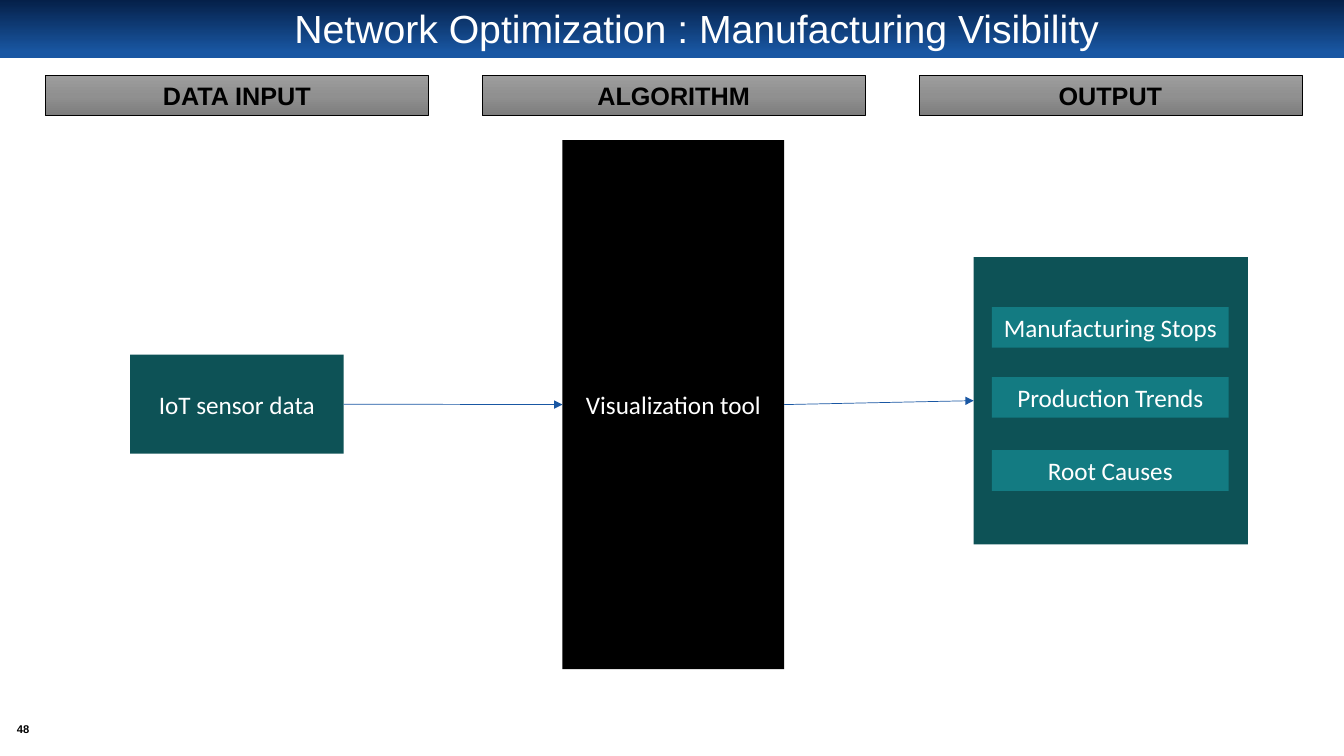
from copy import deepcopy
from dataclasses import dataclass

from lxml import etree
from pptx import Presentation
from pptx.dml.color import RGBColor
from pptx.enum.shapes import MSO_CONNECTOR, MSO_SHAPE
from pptx.enum.text import MSO_ANCHOR, PP_ALIGN
from pptx.oxml.ns import qn
from pptx.util import Pt

RECTANGLE = MSO_SHAPE.RECTANGLE
STRAIGHT = MSO_CONNECTOR.STRAIGHT
MIDDLE = MSO_ANCHOR.MIDDLE
CENTER = PP_ALIGN.CENTER
TITLE_ONLY = 5
LEFT_SITE, RIGHT_SITE = 1, 3


@dataclass(frozen=True)
class Theme:
    band: tuple = ((0, "052049"), (0.9, "1957A3"))
    heading: tuple = ((0, "9D9D9D"), (0.5, "909090"), (1, "7C7C7C"))
    black: str = "000000"
    white: str = "FFFFFF"
    panel: str = "0D5256"
    item: str = "137B82"
    arrow: str = "1957A3"
    heading_font: str = "Arial"
    body_font: str = "Calibri"
    title_size: int = 28
    body_size: int = 18
    number_size: int = 8
    line_width: float = 0.5


THEME = Theme()


def write(shape, text, *, font=THEME.body_font, size=THEME.body_size,
          color=THEME.white, bold=False, spacing=None):
    frame = shape.text_frame
    frame.word_wrap = True
    frame.vertical_anchor = MIDDLE
    paragraph = frame.paragraphs[0]
    paragraph.alignment = CENTER
    paragraph.line_spacing = spacing
    run = paragraph.add_run()
    run.text = text
    run.font.name = font
    run.font.size = Pt(size)
    run.font.bold = bold
    run.font.color.rgb = RGBColor.from_string(color)


def fill_gradient(shape, stops):
    fill = shape.fill
    fill.gradient()
    fill.gradient_angle = 270
    stop_list = shape.element.spPr.find(f".//{qn('a:gsLst')}")
    for _ in stops[2:]:
        stop_list.append(deepcopy(stop_list[0]))
    for stop, (position, color) in zip(fill.gradient_stops, stops):
        stop.position = position
        stop.color.rgb = RGBColor.from_string(color)


def add_box(slide, bounds, fill, outline=None):
    box = slide.shapes.add_shape(RECTANGLE, *map(Pt, bounds))
    box.shadow.inherit = False
    if isinstance(fill, str):
        box.fill.solid()
        box.fill.fore_color.rgb = RGBColor.from_string(fill)
    else:
        fill_gradient(box, fill)
    if outline:
        box.line.color.rgb = RGBColor.from_string(outline)
        box.line.width = Pt(THEME.line_width)
    else:
        box.line.fill.background()
    return box


def add_arrow(slide, source, target):
    arrow = slide.shapes.add_connector(STRAIGHT, 0, 0, 0, 0)
    arrow.begin_connect(source, RIGHT_SITE)
    arrow.end_connect(target, LEFT_SITE)
    arrow.line.color.rgb = RGBColor.from_string(THEME.arrow)
    arrow.line.width = Pt(THEME.line_width)
    etree.SubElement(arrow.line._get_or_add_ln(), qn("a:tailEnd"), type="triangle")
    etree.SubElement(arrow.element.spPr, qn("a:effectLst"))


def add_title(slide, text):
    add_box(slide, (0, 0, 960, 41.76), THEME.band)
    title = slide.shapes.title
    title.left, title.top, title.width, title.height = map(Pt, (80.6, 6.5, 833.8, 31))
    slide.shapes._spTree.append(title.element)
    write(title, text, font=THEME.heading_font, size=THEME.title_size, spacing=0.9)


def add_headings(slide, labels):
    for column, label in enumerate(labels):
        heading = add_box(slide, (32.4 + column * 312, 54, 273.6, 28.8),
                          THEME.heading, THEME.black)
        write(heading, label, font=THEME.heading_font, color=THEME.black, bold=True)


def add_slide_number(slide, number):
    page = slide.shapes.add_textbox(*map(Pt, (5.8, 514, 21.6, 13.7)))
    frame = page.text_frame
    frame.margin_left = frame.margin_right = frame.margin_top = frame.margin_bottom = 0
    write(page, number, font=THEME.heading_font, size=THEME.number_size,
          color=THEME.black, bold=True)


def add_flow(slide):
    tool = add_box(slide, (401.8, 100, 158.4, 378), THEME.black)
    write(tool, "Visualization tool")
    sensor = add_box(slide, (92.9, 253.4, 152.6, 70.6), THEME.panel)
    write(sensor, "IoT sensor data")
    results = add_box(slide, (695.5, 183.6, 195.8, 205.2), THEME.panel)
    add_arrow(slide, sensor, tool)
    add_arrow(slide, tool, results)
    for top, label in ((219.4, "Manufacturing Stops"),
                       (269.3, "Production Trends"),
                       (321.6, "Root Causes")):
        write(add_box(slide, (708.5, top, 169.2, 29), THEME.item), label)


def main():
    deck = Presentation()
    deck.slide_width, deck.slide_height = Pt(960), Pt(540)
    slide = deck.slides.add_slide(deck.slide_layouts[TITLE_ONLY])
    add_title(slide, "Network Optimization : Manufacturing Visibility")
    add_headings(slide, ("DATA INPUT", "ALGORITHM", "OUTPUT"))
    add_flow(slide)
    add_slide_number(slide, "48")
    deck.save("out.pptx")


if __name__ == "__main__":
    main()
